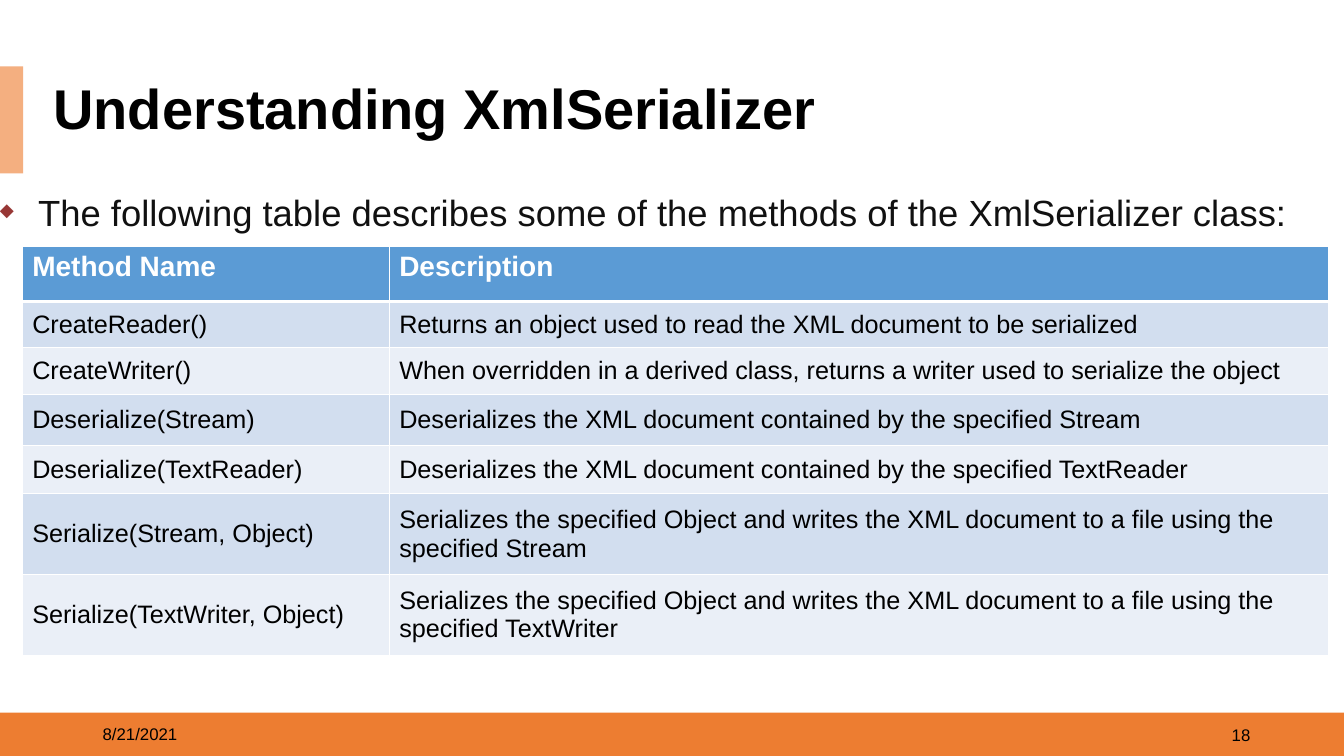
import pptx
import pptx.dml.color
import pptx.enum.shapes
import pptx.enum.text
import pptx.oxml
import pptx.oxml.ns
import pptx.util
from pptx.util import Inches

# Content
TITLE = "Understanding XmlSerializer"
INTRO = "The following table describes some of the methods of the XmlSerializer class:"
METHODS = [
    ("Method Name", "Description"),
    ("CreateReader()", "Returns an object used to read the XML document to be serialized"),
    ("CreateWriter()", "When overridden in a derived class, returns a writer used to serialize the object"),
    ("Deserialize(Stream)", "Deserializes the XML document contained by the specified Stream"),
    ("Deserialize(TextReader)", "Deserializes the XML document contained by the specified TextReader"),
    ("Serialize(Stream, Object)",
     "Serializes the specified Object and writes the XML document to a file using the specified Stream"),
    ("Serialize(TextWriter, Object)",
     "Serializes the specified Object and writes the XML document to a file using the specified TextWriter"),
]
COLUMN_WIDTHS = [3.64, 9.32]
ROW_HEIGHTS = [0.55, 0.46, 0.46, 0.51, 0.48, 0.8, 0.8]
HEADER_FILL = "5B9BD5"
BAND_FILLS = ["EAEFF7", "D2DEEF"]
BARS = [(0, 7.07, 13.33, 0.44, "ED7D31"), (0, 0.66, 0.23, 1.06, "F4AF80")]

ALIGN = pptx.enum.text.PP_ALIGN
MIDDLE = pptx.enum.text.MSO_ANCHOR.MIDDLE
FOOTER = [
    ("8/21/2021", 0.92, 7.08, ALIGN.LEFT),
    ("18", 9.5, 7.09, ALIGN.RIGHT),
]


def color(value):
    return pptx.dml.color.RGBColor.from_string(value)


def paint(part, value):
    part.fill.solid()
    part.fill.fore_color.rgb = color(value)


def write(frame, text, size, ink="000000", bold=False, align=ALIGN.LEFT):
    frame.word_wrap = True
    frame.text = text
    paragraph = frame.paragraphs[0]
    paragraph.alignment = align
    font = paragraph.runs[0].font
    font.name, font.size, font.bold = "Arial", pptx.util.Pt(size), bold
    font.color.rgb = color(ink)
    return paragraph


def add_xml(parent, tag, content="", attributes=""):
    namespace = pptx.oxml.ns.nsdecls("a")
    parent.append(pptx.oxml.parse_xml(f"<a:{tag} {namespace} {attributes}>{content}</a:{tag}>"))


def add_borders(cell, top, bottom):
    white = '<a:solidFill><a:srgbClr val="FFFFFF"/></a:solidFill>'
    for side, points in (("L", 1), ("R", 1), ("T", top), ("B", bottom)):
        add_xml(cell._tc.get_or_add_tcPr(), f"ln{side}", white, f'w="{pptx.util.Pt(points)}"')


deck = pptx.Presentation()
deck.slide_width, deck.slide_height = Inches(13.33), Inches(7.5)
slide = deck.slides.add_slide(deck.slide_layouts[5])

# Orange bars
for left, top, width, height, fill in BARS:
    bar = slide.shapes.add_shape(pptx.enum.shapes.MSO_SHAPE.RECTANGLE,
                                 Inches(left), Inches(top), Inches(width), Inches(height))
    paint(bar, fill)
    bar.line.fill.background()
    bar.shadow.inherit = False

# Date and page number
for text, left, top, align in FOOTER:
    footer = slide.shapes.add_textbox(Inches(left), Inches(top), Inches(3), Inches(0.4))
    footer.text_frame.vertical_anchor = MIDDLE
    write(footer.text_frame, text, 12, align=align)

# Title
title = slide.shapes.title
title.left, title.top = Inches(0.43), Inches(0.79)
title.width, title.height = Inches(12.2), Inches(0.63)
paint(title, "FFFFFF")
title.text_frame.auto_size = pptx.enum.text.MSO_AUTO_SIZE.NONE
title.text_frame.vertical_anchor = MIDDLE
write(title.text_frame, TITLE, 40, bold=True).line_spacing = 0.9

# Methods table
table = slide.shapes.add_table(len(METHODS), len(COLUMN_WIDTHS), Inches(0.22), Inches(2.44),
                               Inches(sum(COLUMN_WIDTHS)), Inches(sum(ROW_HEIGHTS))).table
for column, width in zip(table.columns, COLUMN_WIDTHS):
    column.width = Inches(width)
for r, (row, height) in enumerate(zip(table.rows, ROW_HEIGHTS)):
    row.height = Inches(height)
    for cell, text in zip(row.cells, METHODS[r]):
        add_borders(cell, 3 if r == 1 else 1, 3 if r == 0 else 1)
        if r == 0:
            paint(cell, HEADER_FILL)
            write(cell.text_frame, text, 20, "FFFFFF", True, ALIGN.JUSTIFY)
        else:
            paint(cell, BAND_FILLS[r % 2])
            cell.vertical_anchor = MIDDLE
            write(cell.text_frame, text, 18)

# Bulleted introduction
intro = slide.shapes.add_textbox(Inches(-0.1), Inches(1.62), Inches(13.26), Inches(0.68))
bullet = write(intro.text_frame, INTRO, 26, "111111", align=ALIGN.JUSTIFY)
bullet.line_spacing = 1.5
bullet.space_before = pptx.util.Pt(10)
settings = bullet._p.get_or_add_pPr()
settings.set("marL", str(Inches(0.38)))
settings.set("indent", str(Inches(-0.38)))
add_xml(settings, "buClr", '<a:srgbClr val="973735"/>')
add_xml(settings, "buSzPct", attributes='val="50000"')
add_xml(settings, "buChar", attributes='char="◆"')
add_xml(settings, "tabLst", f'<a:tab pos="{Inches(0.26)}" algn="l"/>')

deck.save("out.pptx")
